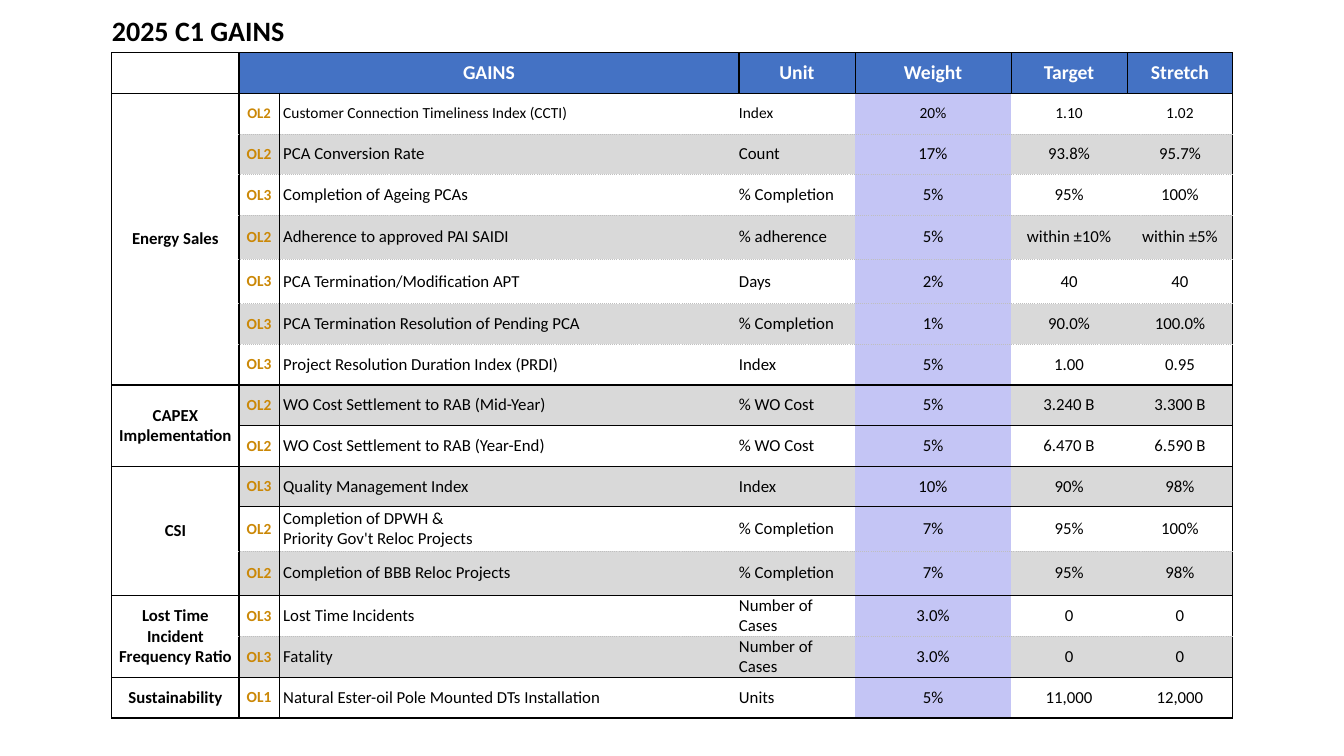
from lxml import etree
from pptx import Presentation
from pptx import util as u
from pptx.dml.color import RGBColor
from pptx.enum import text
from pptx.oxml.ns import qn

BLACK = RGBColor(0, 0, 0)
WHITE = RGBColor(255, 255, 255)
BLUE = RGBColor(0x44, 0x72, 0xC4)
GREY = RGBColor(0xD9, 0xD9, 0xD9)
LILAC = RGBColor(0xC4, 0xC5, 0xF5)
GOLD = RGBColor(0xCB, 0x88, 0x07)
SILVER = RGBColor(0xBF, 0xBF, 0xBF)

SOLID = (BLACK, 1, "solid")
THIN = (BLACK, 0.5, "solid")
DOT = (SILVER, 0.5, "sysDot")
PLAIN = "{2D5ABB26-0587-4C30-8999-92F81FD0307C}"

TITLE = "2025 C1 GAINS"
HEADS = ["", "GAINS", "", "Unit", "Weight", "Target", "Stretch"]
WIDTHS = [1.26, 0.4, 4.56, 1.15, 1.55, 1.15, 1.05]
TALL = {5: 0.44, 6: 0.44, 12: 0.44, 13: 0.44}
BARE = {9, 11}

GROUPS = [
    ("Energy Sales", [
        ("OL2", "Customer Connection Timeliness Index (CCTI)", "Index", "20%", "1.10", "1.02"),
        ("OL2", "PCA Conversion Rate", "Count", "17%", "93.8%", "95.7%"),
        ("OL3", "Completion of Ageing PCAs", "% Completion", "5%", "95%", "100%"),
        ("OL2", "Adherence to approved PAI SAIDI", "% adherence", "5%", "within ±10%", "within ±5%"),
        ("OL3", "PCA Termination/Modification APT", "Days", "2%", "40", "40"),
        ("OL3", "PCA Termination Resolution of Pending PCA", "% Completion", "1%", "90.0%", "100.0%"),
        ("OL3", "Project Resolution Duration Index (PRDI)", "Index", "5%", "1.00", "0.95"),
    ]),
    ("CAPEX\vImplementation", [
        ("OL2", "WO Cost Settlement to RAB (Mid-Year)", "% WO Cost", "5%", "3.240 B", "3.300 B"),
        ("OL2", "WO Cost Settlement to RAB (Year-End)", "% WO Cost", "5%", "6.470 B", "6.590 B"),
    ]),
    ("CSI", [
        ("OL3", "Quality Management Index", "Index", "10%", "90%", "98%"),
        ("OL2", "Completion of DPWH &\vPriority Gov't Reloc Projects", "% Completion", "7%", "95%", "100%"),
        ("OL2", "Completion of BBB Reloc Projects", "% Completion", "7%", "95%", "98%"),
    ]),
    ("Lost Time Incident Frequency Ratio", [
        ("OL3", "Lost Time Incidents", "Number of Cases", "3.0%", "0", "0"),
        ("OL3", "Fatality", "Number of Cases", "3.0%", "0", "0"),
    ]),
    ("Sustainability", [
        ("OL1", "Natural Ester-oil Pole Mounted DTs Installation", "Units", "5%", "11,000", "12,000"),
    ]),
]


def edge(cell, sides):
    props = cell._tc.get_or_add_tcPr()
    for side in "LRTB":
        if sides.get(side):
            color, width, dash = sides[side]
            line = etree.SubElement(props, qn("a:ln" + side), w=str(u.Pt(width)))
            fill = etree.SubElement(line, qn("a:solidFill"))
            etree.SubElement(fill, qn("a:srgbClr"), val=str(color))
            etree.SubElement(line, qn("a:prstDash"), val=dash)


def paint(cell, color):
    if color is None:
        cell.fill.background()
    else:
        cell.fill.solid()
        cell.fill.fore_color.rgb = color


def write(cell, words, size, color=BLACK, bold=False, center=True, indent=0):
    look = {
        "margin_left": u.Inches(indent), "margin_right": 0,
        "margin_top": 0, "margin_bottom": 0,
        "vertical_anchor": text.MSO_ANCHOR.MIDDLE,
    }
    for name, value in look.items():
        setattr(cell, name, value)
    if not words:
        return
    cell.text = words
    para = cell.text_frame.paragraphs[0]
    para.alignment = text.PP_ALIGN.CENTER if center else text.PP_ALIGN.LEFT
    for run in para.runs:
        font = {"name": "Calibri", "size": u.Pt(size), "bold": bold}
        for name, value in font.items():
            setattr(run.font, name, value)
        run.font.color.rgb = color
    for gap in para._p.findall(qn("a:br")):
        etree.SubElement(gap, qn("a:rPr"), sz=str(size * 100))


def top(table):
    for col, words in enumerate(HEADS):
        name = table.cell(0, col)
        write(name, TITLE if col == 0 else "", 20, bold=True, center=False)
        edge(name, {"B": SOLID})
        paint(name, None)
        head = table.cell(1, col)
        write(head, words, 14, WHITE, True)
        edge(head, {
            "L": SOLID if col < 2 else None if col == 2 else THIN,
            "R": SOLID if col in (0, 6) else None if col == 1 else THIN,
            "T": SOLID, "B": SOLID,
        })
        paint(head, BLUE if col else None)
    table.cell(0, 0).merge(table.cell(0, 6))
    table.cell(1, 1).merge(table.cell(1, 2))


def group(table, first, label, items):
    last = first + len(items) - 1
    for row, item in enumerate(items, first):
        side = table.cell(row, 0)
        write(side, label if row == first else "", 12, bold=True)
        edge(side, dict.fromkeys("LRTB", SOLID))
        paint(side, None)
        size = 11 if row == 2 else 12
        band = GREY if row % 2 else None
        upper = SOLID if row == first else None if row - 1 in BARE else DOT
        lower = SOLID if row == last else None if row in BARE else DOT
        for col, words in enumerate(item, 1):
            cell = table.cell(row, col)
            if col == 1:
                write(cell, words, 10.5 if row == 2 else 11, GOLD, True)
            else:
                write(cell, words, size, center=col > 3, indent=0.04 if col == 2 else 0)
            edge(cell, {
                "L": SOLID if col == 1 else None,
                "R": SOLID if col == 6 else None,
                "T": upper, "B": lower,
            })
            paint(cell, LILAC if col == 4 else band)
    if last > first:
        table.cell(first, 0).merge(table.cell(last, 0))
    return last + 1


def gains(slide, x, y, w, h):
    count = 2 + sum(len(items) for _, items in GROUPS)
    frame = slide.shapes.add_table(count, len(WIDTHS), *map(u.Inches, (x, y, w, h)))
    table = frame.table
    table.first_row = table.horz_banding = False
    table._tbl.tblPr.find(qn("a:tableStyleId")).text = PLAIN
    for col, width in zip(table.columns, WIDTHS):
        col.width = u.Inches(w * width / sum(WIDTHS))
    base = (h - sum(TALL.values())) / (count - len(TALL))
    for num, row in enumerate(table.rows):
        row.height = u.Inches(TALL.get(num, base))
    top(table)
    first = 2
    for label, items in GROUPS:
        first = group(table, first, label, items)


def main():
    deck = Presentation()
    deck.slide_width = u.Inches(13.33)
    deck.slide_height = u.Inches(7.5)
    slide = deck.slides.add_slide(deck.slide_layouts[6])
    gains(slide, 1.11, 0.12, 11.12, 7)
    deck.save("out.pptx")


if __name__ == "__main__":
    main()
